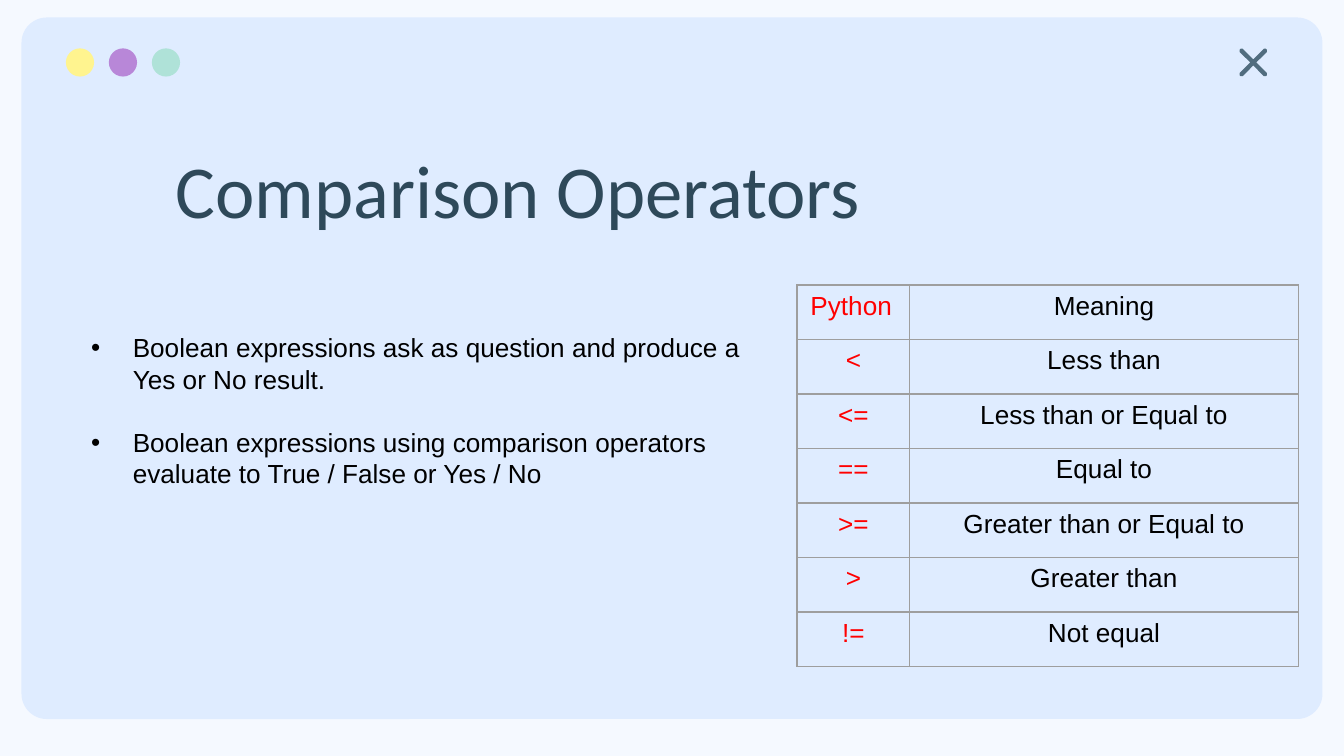
from pptx import Presentation
from pptx.dml.color import RGBColor
from pptx.enum.shapes import MSO_SHAPE as Shape
from pptx.enum.text import MSO_ANCHOR as Anchor, MSO_AUTO_SIZE as AutoSize, PP_ALIGN as Align
from pptx.oxml.ns import qn
from pptx.util import Inches, Pt
from lxml.etree import SubElement

BACKGROUND = RGBColor(0xF5, 0xF9, 0xFF)
PANEL = RGBColor(0xDF, 0xEC, 0xFF)
YELLOW = RGBColor(0xFF, 0xF4, 0x8F)
PURPLE = RGBColor(0xB8, 0x87, 0xD8)
MINT = RGBColor(0xAF, 0xE2, 0xD8)
CLOSE = RGBColor(0x51, 0x6D, 0x7F)
TITLE = RGBColor(0x2E, 0x49, 0x5A)
BLACK = RGBColor(0x00, 0x00, 0x00)
RED = RGBColor(0xFF, 0x00, 0x00)
BORDER = RGBColor(0x9E, 0x9E, 0x9E)

BULLETS = [
    "Boolean expressions ask as question and produce a Yes or No result.",
    "Boolean expressions using comparison operators evaluate to True / False or Yes / No",
]
OPERATORS = [
    ("Python", "Meaning"),
    ("<", "Less than"),
    ("<=", "Less than or Equal to"),
    ("==", "Equal to"),
    (">=", "Greater than or Equal to"),
    (">", "Greater than"),
    ("!=", "Not equal"),
]


def set_font(paragraph, name, size, color):
    paragraph.font.name = name
    paragraph.font.size = Pt(size)
    paragraph.font.color.rgb = color


def add_filled_shape(slide, kind, left, top, width, height, color, adjustment=None):
    shape = slide.shapes.add_shape(
        kind, Inches(left), Inches(top), Inches(width), Inches(height))
    shape.shadow.inherit = False
    shape.fill.solid()
    shape.fill.fore_color.rgb = color
    shape.line.fill.background()
    if adjustment is not None:
        shape.adjustments[0] = adjustment
    return shape


def add_text_box(slide, left, top, width, height):
    box = slide.shapes.add_textbox(
        Inches(left), Inches(top), Inches(width), Inches(height))
    box.text_frame.word_wrap = True
    return box.text_frame


def add_window(slide):
    add_filled_shape(slide, Shape.ROUNDED_RECTANGLE, 0.16, 0.13, 9.68, 5.22, PANEL, 0.036)
    for index, color in enumerate((YELLOW, PURPLE, MINT)):
        add_filled_shape(slide, Shape.OVAL, 0.49 + 0.32 * index, 0.36, 0.21, 0.21, color)
    close = add_filled_shape(slide, Shape.MATH_MULTIPLY, 9.15, 0.29, 0.35, 0.35, CLOSE, 0.031)
    close.line.color.rgb = CLOSE
    close.line.width = Pt(1.5)


def add_title(slide, text):
    frame = add_text_box(slide, 1.21, 0.45, 6.56, 1.39)
    frame.vertical_anchor = Anchor.BOTTOM
    frame.margin_top = frame.margin_bottom = Inches(0.1)
    paragraph = frame.paragraphs[0]
    paragraph.text = text
    set_font(paragraph, "Calibri", 40, TITLE)


def add_bullets(slide, items):
    frame = add_text_box(slide, 0.58, 2.42, 5.2, 1.28)
    frame.auto_size = AutoSize.SHAPE_TO_FIT_TEXT
    for index, text in enumerate(items):
        paragraph = frame.add_paragraph() if index else frame.paragraphs[0]
        paragraph.text = text
        if index:
            paragraph.space_before = Pt(17)
        properties = paragraph._p.get_or_add_pPr()
        properties.set("marL", str(Inches(0.31)))
        properties.set("indent", str(-Inches(0.31)))
        SubElement(properties, qn("a:buFont"), typeface="Arial")
        SubElement(properties, qn("a:buChar"), char="•")
        set_font(paragraph, "Arial", 14, BLACK)


def set_borders(cell):
    properties = cell._tc.get_or_add_tcPr()
    for index, side in enumerate(("a:lnL", "a:lnR", "a:lnT", "a:lnB")):
        line = SubElement(properties, qn(side), w=str(Pt(0.75)))
        fill = SubElement(line, qn("a:solidFill"))
        SubElement(fill, qn("a:srgbClr"), val=str(BORDER))
        # Borders come before the cell fill
        properties.insert(index, line)


def add_operator_table(slide, rows):
    table = slide.shapes.add_table(
        len(rows), 2, Inches(5.93), Inches(2.12), Inches(3.73), Inches(2.84)).table
    table.first_row = table.horz_banding = False
    for column, width in zip(table.columns, (0.84, 2.89)):
        column.width = Inches(width)
    for row, texts in zip(table.rows, rows):
        for cell, text, color in zip(row.cells, texts, (RED, BLACK)):
            cell.fill.background()
            set_borders(cell)
            paragraph = cell.text_frame.paragraphs[0]
            paragraph.text = text
            paragraph.alignment = Align.CENTER
            set_font(paragraph, "Arial", 14, color)
    # The first header is left-aligned
    table.cell(0, 0).text_frame.paragraphs[0].alignment = Align.LEFT


def main():
    presentation = Presentation()
    # Widescreen, 16:9
    presentation.slide_width = Inches(10)
    presentation.slide_height = Inches(10) * 9 // 16
    slide = presentation.slides.add_slide(presentation.slide_layouts[6])
    slide.background.fill.solid()
    slide.background.fill.fore_color.rgb = BACKGROUND

    add_window(slide)
    add_title(slide, "Comparison Operators")
    add_bullets(slide, BULLETS)
    add_operator_table(slide, OPERATORS)
    presentation.save("out.pptx")


if __name__ == "__main__":
    main()
